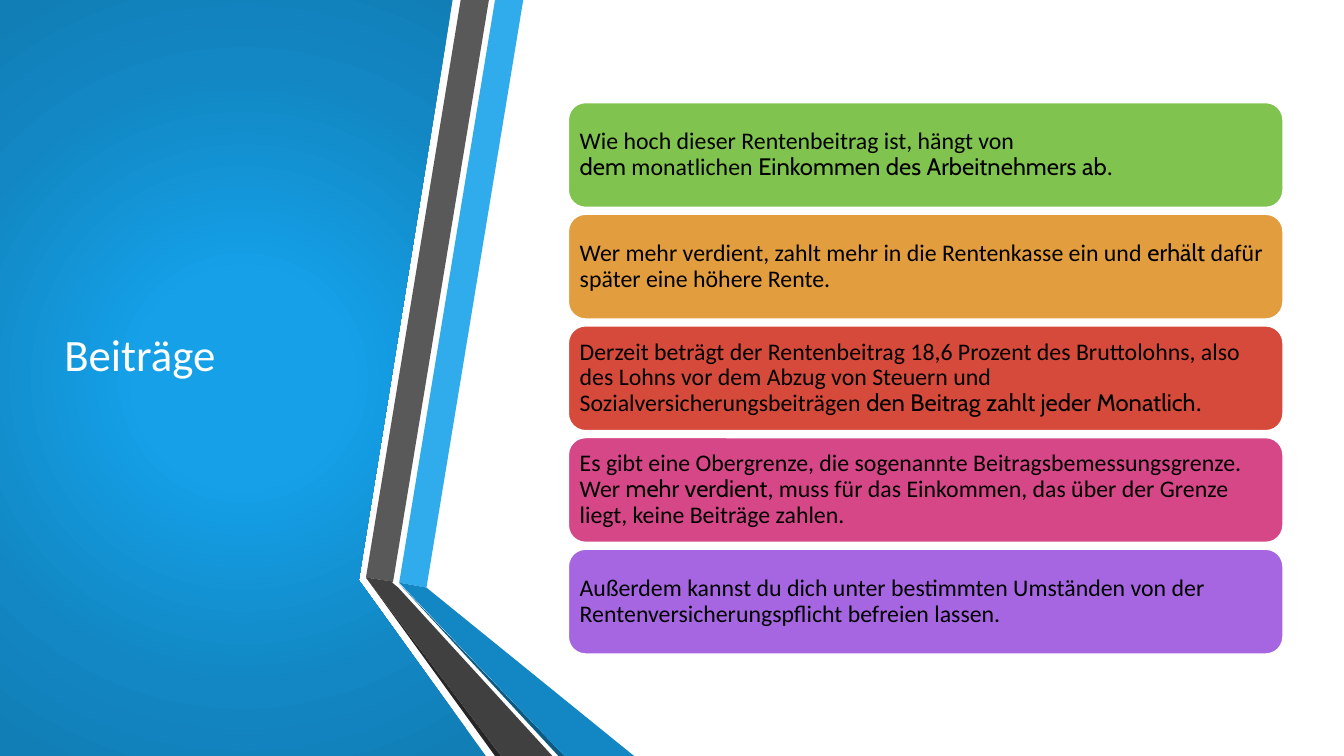
from dataclasses import dataclass

from lxml import etree
from pptx import Presentation
from pptx.dml.color import RGBColor
from pptx.enum.shapes import MSO_SHAPE
from pptx.enum.text import MSO_ANCHOR, PP_ALIGN
from pptx.oxml.ns import qn
from pptx.shapes.autoshape import Shape
from pptx.text.text import TextFrame
from pptx.util import Inches, Pt

ROUNDED = MSO_SHAPE.ROUNDED_RECTANGLE
MIDDLE = MSO_ANCHOR.MIDDLE
LEFT = PP_ALIGN.LEFT

WHITE = RGBColor(0xFF, 0xFF, 0xFF)
BLACK = RGBColor(0x00, 0x00, 0x00)
SKY = RGBColor(0x30, 0xAC, 0xEC)
GREY = RGBColor(0x59, 0x59, 0x59)
CHARCOAL = RGBColor(0x40, 0x40, 0x40)
DARK = RGBColor(0x26, 0x26, 0x26)
NAVY = RGBColor(0x0C, 0x5A, 0x82)
BLUE = RGBColor(0x12, 0x87, 0xC3)
BRIGHT = RGBColor(0x15, 0xA0, 0xE8)
DEEP = RGBColor(0x11, 0x7E, 0xB6)
GREEN = RGBColor(0x80, 0xC3, 0x4F)
ORANGE = RGBColor(0xE2, 0x9D, 0x3E)
RED = RGBColor(0xD6, 0x4A, 0x3B)
PINK = RGBColor(0xD6, 0x47, 0x87)
PURPLE = RGBColor(0xA6, 0x66, 0xE1)

BODY = "Calibri"
ACCENT = "Cabin"
NBSP = chr(160)  # written as ~ in the card texts

Point = tuple[float, float]
Run = tuple[str, str]


@dataclass
class Ribbon:
    color: RGBColor
    points: list[Point]


@dataclass
class Card:
    color: RGBColor
    runs: list[Run]


# All positions are percentages of the slide's width and height
PANEL = [(0, 0), (33.68, 0), (26.7, 76.75), (36.15, 100), (0, 100)]
PANEL_STOPS = [(0, BRIGHT), (23, BRIGHT), (69, BLUE), (97, DEEP)]

RIBBONS = [
    Ribbon(SKY, [(29.7, 77.07), (31.73, 77.73), (38.93, 0), (36.83, 0)]),
    Ribbon(GREY, [(36.38, 0), (34.28, 0), (27.23, 76.4), (29.25, 76.93)]),
    Ribbon(DARK, [(27.23, 76.4), (36.83, 100), (37.28, 100)]),
    Ribbon(NAVY, [(29.7, 77.2), (41.55, 100), (42, 100)]),
    Ribbon(BLUE, [(29.7, 77.07), (42, 100), (47.18, 100), (31.73, 77.73)]),
    Ribbon(CHARCOAL, [(41.1, 100), (29.63, 77.73), (29.18, 77.07),
                      (29.25, 76.93), (27.23, 76.4), (37.28, 100)]),
]

CARD_LEFT, CARD_TOP = 42.25, 13.5
CARD_WIDTH, CARD_HEIGHT, CARD_PITCH = 53.25, 14, 14.77

CARDS = [
    Card(GREEN, [
        ("Wie hoch dieser~Rentenbeitrag~ist, hängt von ", BODY),
        ("dem~", ACCENT),
        ("monatlichen~", BODY),
        ("Einkommen des Arbeitnehmers ab", ACCENT),
        (".", BODY),
    ]),
    Card(ORANGE, [
        ("Wer mehr verdient, zahlt mehr in die Rentenkasse ein und ", BODY),
        ("erhält~", ACCENT),
        ("dafür später~eine höhere Rente.", BODY),
    ]),
    Card(RED, [
        ("Derzeit beträgt der Rentenbeitrag 18,6 Prozent des Bruttolohns, "
         "also des Lohns vor dem Abzug von Steuern und "
         "Sozialversicherungsbeiträgen", BODY),
        (" den Beitrag zahlt~jeder Monatlich", ACCENT),
        (".", BODY),
    ]),
    Card(PINK, [
        ("Es gibt eine Obergrenze, die sogenannte "
         "Beitragsbemessungsgrenze. Wer ", BODY),
        ("mehr verdient", ACCENT),
        (", muss für das Einkommen, das über der Grenze liegt, "
         "keine Beiträge zahlen.", BODY),
    ]),
    Card(PURPLE, [
        ("Außerdem kannst du dich unter bestimmten Umständen von der "
         "Rentenversicherungspflicht befreien lassen.", BODY),
    ]),
]

prs = Presentation()
prs.slide_width, prs.slide_height = Inches(13.33), Inches(7.5)
s = prs.slides.add_slide(prs.slide_layouts[6])


def x(share: float) -> int:
    return round(prs.slide_width * share / 100)


def y(share: float) -> int:
    return round(prs.slide_height * share / 100)


def add_outline(points: list[Point], color: RGBColor) -> Shape:
    start, *rest = [(x(px), y(py)) for px, py in points]
    builder = s.shapes.build_freeform(*start)
    builder.add_line_segments(rest, close=True)
    sp = builder.convert_to_shape()
    sp.shadow.inherit = False
    sp.fill.solid()
    sp.fill.fore_color.rgb = color
    sp.line.fill.background()
    return sp


def set_radial_fill(sp: Shape, stops: list[tuple[int, RGBColor]]) -> None:
    solid = sp.fill._xPr.find(qn("a:solidFill"))
    grad = etree.Element(qn("a:gradFill"), rotWithShape="1")
    stop_list = etree.SubElement(grad, qn("a:gsLst"))
    for percent, color in stops:
        gs = etree.SubElement(stop_list, qn("a:gs"), pos=str(percent * 1000))
        etree.SubElement(gs, qn("a:srgbClr"), val=str(color))
    circle = etree.SubElement(grad, qn("a:path"), path="circle")
    etree.SubElement(circle, qn("a:fillToRect"),
                     l="50000", t="50000", r="50000", b="50000")
    solid.getparent().replace(solid, grad)


def write_text(tf: TextFrame, runs: list[Run], size: float,
               color: RGBColor) -> None:
    tf.word_wrap = True
    tf.vertical_anchor = MIDDLE
    p = tf.paragraphs[0]
    p.alignment = LEFT
    p.line_spacing = 0.9
    for text, font in runs:
        r = p.add_run()
        r.text = text.replace("~", NBSP)
        r.font.name = font
        r.font.size = Pt(size)
        r.font.color.rgb = color


def add_card(card: Card, row: int) -> None:
    sp = s.shapes.add_shape(ROUNDED, x(CARD_LEFT),
                            y(CARD_TOP + row * CARD_PITCH),
                            x(CARD_WIDTH), y(CARD_HEIGHT))
    sp.shadow.inherit = False
    sp.fill.solid()
    sp.fill.fore_color.rgb = card.color
    sp.line.color.rgb = WHITE
    sp.line.width = Pt(1.75)
    tf = sp.text_frame
    tf.margin_left = tf.margin_right = x(0.5)
    tf.margin_top = tf.margin_bottom = y(0.9)
    write_text(tf, card.runs, 17, BLACK)


# Background and blue panel
s.background.fill.solid()
s.background.fill.fore_color.rgb = WHITE
set_radial_fill(add_outline(PANEL, BLUE), PANEL_STOPS)

# Title
title = s.shapes.add_textbox(x(4.05), y(10), x(22.5), y(74.4))
write_text(title.text_frame, [("Beiträge", BODY)], 32, WHITE)

# Folded ribbons
for ribbon in RIBBONS:
    add_outline(ribbon.points, ribbon.color)

# Cards
for row, card in enumerate(CARDS):
    add_card(card, row)

prs.save("out.pptx")
